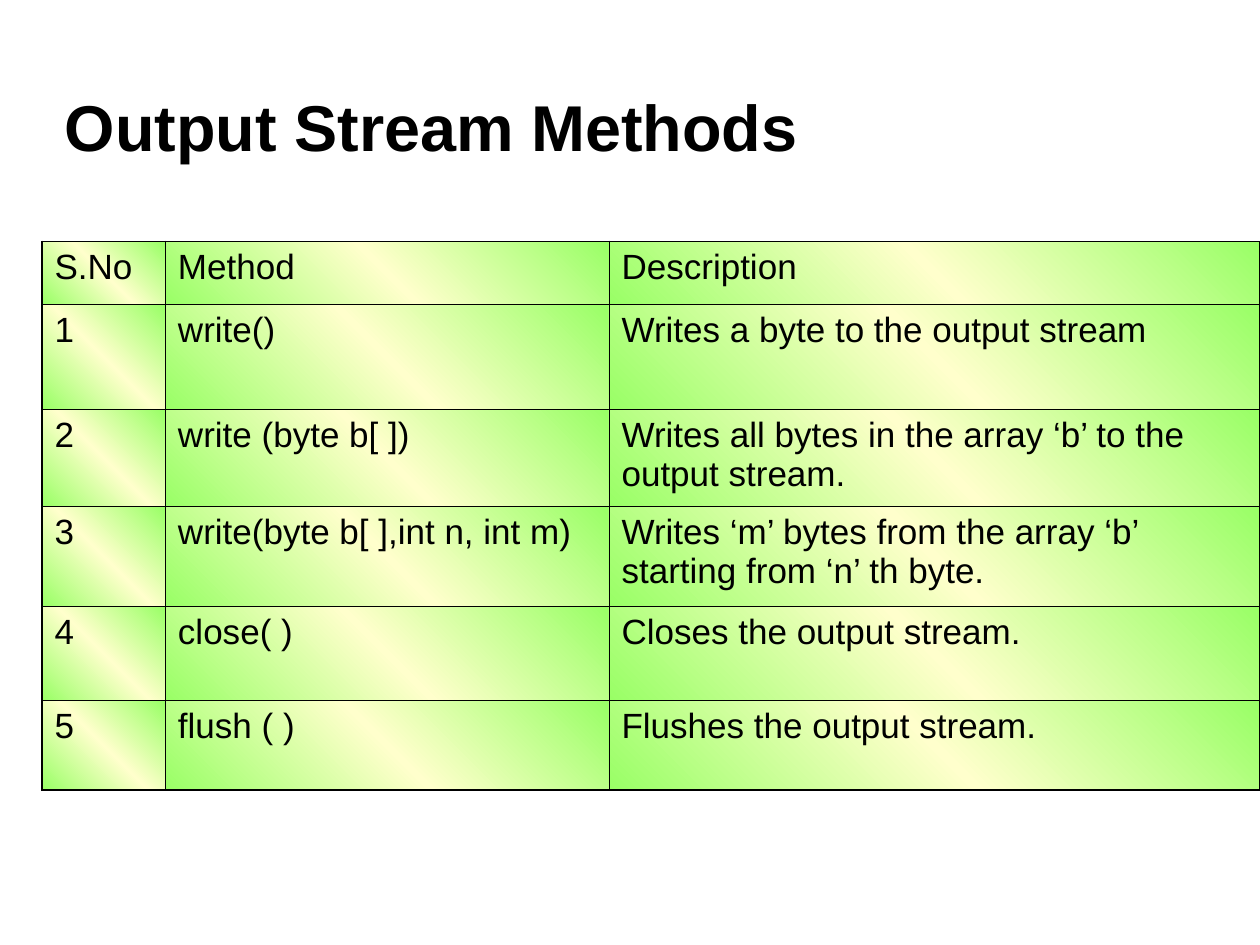
from copy import deepcopy
from typing import NamedTuple

from lxml import etree
from pptx import Presentation
from pptx.dml.color import RGBColor
from pptx.enum.text import MSO_ANCHOR
from pptx.oxml.ns import qn
from pptx.util import Pt

MIDDLE = MSO_ANCHOR.MIDDLE
BLACK = RGBColor(0x00, 0x00, 0x00)
GREEN = RGBColor(0x99, 0xFF, 0x66)
CREAM = RGBColor(0xFF, 0xFF, 0xCC)
FONT = "Arial"
OUTER_LINE, INNER_LINE = Pt(1.08), Pt(0.45)
COLUMN_WIDTHS = (70.5, 253.5, 372)


class MethodRow(NamedTuple):
    number: str
    method: str
    description: str
    height: float


METHOD_ROWS = [
    MethodRow("S.No", "Method", "Description", 36),
    MethodRow("1", "write()", "Writes a byte to the output stream", 60),
    MethodRow("2", "write (byte b[ ])",
              "Writes all bytes in the array ‘b’ to the output stream.", 55.5),
    MethodRow("3", "write(byte b[ ],int n, int m)",
              "Writes ‘m’ bytes from the array ‘b’ starting from ‘n’ th byte.", 57),
    MethodRow("4", "close( )", "Closes the output stream.", 54),
    MethodRow("5", "flush ( )", "Flushes the output stream.", 51),
]


def style_text(paragraph, size: float, bold: bool = False) -> None:
    font = paragraph.font
    font.name, font.size, font.bold = FONT, Pt(size), bold
    font.color.rgb = BLACK


def fill_gradient(cell) -> None:
    """Diagonal green, cream, green."""
    cell.fill.gradient()
    cell.fill.gradient_angle = 45
    stop_list = cell._tc.tcPr.find(".//" + qn("a:gsLst"))
    stop_list.append(deepcopy(stop_list[-1]))
    stops = cell.fill.gradient_stops
    for stop, position, color in zip(stops, (0, 0.5, 1), (GREEN, CREAM, GREEN)):
        stop.position = position
        stop.color.rgb = color


def add_borders(cell, outer_sides: dict[str, bool]) -> None:
    """Thick line on the table's outer sides, thin line inside."""
    for index, (side, is_outer) in enumerate(outer_sides.items()):
        line = etree.Element(qn(f"a:ln{side}"),
                             w=str(OUTER_LINE if is_outer else INNER_LINE))
        solid = etree.SubElement(line, qn("a:solidFill"))
        etree.SubElement(solid, qn("a:srgbClr"), val=str(BLACK))
        cell._tc.tcPr.insert(index, line)


def add_title(slide, text: str) -> None:
    frame = slide.shapes.add_textbox(Pt(30), Pt(42), Pt(624), Pt(60)).text_frame
    frame.word_wrap = True
    frame.vertical_anchor = MIDDLE
    frame.text = text
    style_text(frame.paragraphs[0], 37, bold=True)


def add_method_table(slide, rows: list[MethodRow]) -> None:
    table = slide.shapes.add_table(
        len(rows), len(COLUMN_WIDTHS), Pt(24), Pt(138),
        Pt(sum(COLUMN_WIDTHS)), Pt(sum(row.height for row in rows))).table
    table.first_row = table.horz_banding = False
    for column, width in zip(table.columns, COLUMN_WIDTHS):
        column.width = Pt(width)

    last_row, last_column = len(rows) - 1, len(COLUMN_WIDTHS) - 1
    for r, row in enumerate(rows):
        table.rows[r].height = Pt(row.height)
        for c, text in enumerate((row.number, row.method, row.description)):
            cell = table.cell(r, c)
            cell.text = text
            style_text(cell.text_frame.paragraphs[0], 20)
            fill_gradient(cell)
            add_borders(cell, {"L": c == 0, "R": c == last_column,
                               "T": r == 0, "B": r == last_row})


def main() -> None:
    presentation = Presentation()
    presentation.slide_width, presentation.slide_height = Pt(720), Pt(540)
    slide = presentation.slides.add_slide(presentation.slide_layouts[6])
    add_title(slide, "Output Stream Methods")
    add_method_table(slide, METHOD_ROWS)
    presentation.save("out.pptx")


if __name__ == "__main__":
    main()
